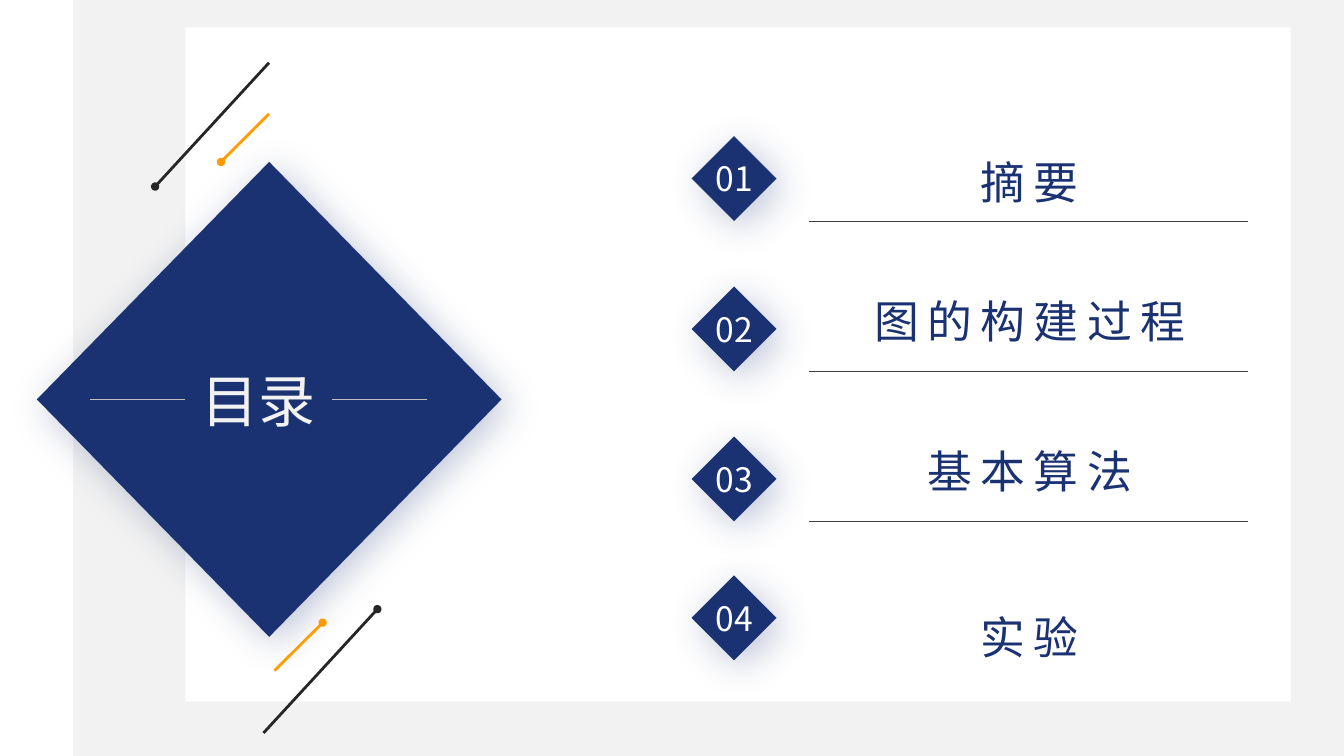
import dataclasses
import typing

import lxml.etree
import pptx
import pptx.dml.color
import pptx.enum.shapes
import pptx.enum.text
import pptx.oxml.ns
import pptx.util

Cm = pptx.util.Cm
Kind = pptx.enum.shapes.MSO_SHAPE
Anchor = pptx.enum.text.MSO_ANCHOR


@dataclasses.dataclass(frozen=True)
class Theme:
    font: str = "Noto Sans CJK SC"
    navy: str = "1A3172"
    white: str = "FFFFFF"
    grey: str = "F2F2F2"
    black: str = "262626"
    orange: str = "FF9C00"
    rule: str = "404040"
    pale: str = "BFBFBF"
    title: float = 40.7
    label: float = 32
    number: float = 24
    thin: float = 0.5
    thick: float = 2


@dataclasses.dataclass(frozen=True)
class Box:
    left: float
    top: float
    width: float
    height: float


@dataclasses.dataclass(frozen=True)
class Entry:
    text: str
    top: float
    shift: float = 0.05
    spacing: float = 1.0
    ruled: bool = True


@dataclasses.dataclass(frozen=True)
class Stroke:
    start: tuple[float, float]
    end: tuple[float, float]
    color: str
    width: float
    dot: bool = False


THEME = Theme()
SLIDE = Box(0, 0, 33.87, 19.05)
PANELS = [
    (Box(0, 0, 1.85, 19.05), THEME.white),
    (Box(1.85, 0, 32.02, 19.05), THEME.grey),
    (Box(4.67, 0.69, 27.86, 16.99), THEME.white),
]
ENTRIES = [
    Entry("摘要", 3.43, shift=-0.33, spacing=1.5),
    Entry("图的构建过程", 7.22),
    Entry("基本算法", 11.0),
    Entry("实验", 14.5, spacing=1.5, ruled=False),
]
MARK = 2.14
HUB = Box(0.93, 4.08, 11.71, 11.97)
MIDDLE = HUB.top + HUB.height / 2
WINGS = [
    Stroke((start, MIDDLE), (end, MIDDLE), THEME.pale, THEME.thin)
    for start, end in [(4.67, 2.26), (8.36, 10.77)]
]
STROKES = [
    Stroke((6.78, 1.58), (3.91, 4.7), THEME.black, THEME.thick, dot=True),
    Stroke((6.78, 2.87), (5.57, 4.08), THEME.orange, THEME.thick, dot=True),
    Stroke((6.64, 18.47), (9.51, 15.35), THEME.black, THEME.thick, dot=True),
    Stroke((6.92, 16.9), (8.13, 15.69), THEME.orange, THEME.thick, dot=True),
]


def add_child(parent: typing.Any, tag: str, **attrs: str) -> typing.Any:
    return lxml.etree.SubElement(parent, pptx.oxml.ns.qn(tag), attrs)


def paint(fill: typing.Any, color: str) -> None:
    fill.solid()
    fill.fore_color.rgb = pptx.dml.color.RGBColor.from_string(color)


def place(box: Box) -> list[int]:
    return [Cm(side) for side in dataclasses.astuple(box)]


def draw_shape(shapes: typing.Any, kind: Kind, box: Box, color: str) -> typing.Any:
    shape = shapes.add_shape(kind, *place(box))
    paint(shape.fill, color)
    shape.line.fill.background()
    shape.shadow.inherit = False
    return shape


def draw_diamond(shapes: typing.Any, box: Box) -> typing.Any:
    """Draw a navy diamond with a soft shadow to the lower right."""
    shape = draw_shape(shapes, Kind.DIAMOND, box, THEME.navy)
    effects = shape.element.spPr.find(pptx.oxml.ns.qn("a:effectLst"))
    shadow = add_child(
        effects, "a:outerShdw", algn="tl", rotWithShape="0", dir="2700000",
        blurRad=str(pptx.util.Pt(28)), dist=str(pptx.util.Pt(7)),
    )
    color = add_child(shadow, "a:srgbClr", val=THEME.navy)
    add_child(color, "a:alpha", val="27000")
    return shape


def draw_stroke(shapes: typing.Any, stroke: Stroke) -> None:
    line = shapes.add_connector(
        pptx.enum.shapes.MSO_CONNECTOR.STRAIGHT,
        *[Cm(value) for value in stroke.start + stroke.end],
    )
    paint(line.line.fill, stroke.color)
    line.line.width = pptx.util.Pt(stroke.width)
    if stroke.dot:
        add_child(line.line._get_or_add_ln(), "a:tailEnd", type="oval")
    add_child(line.element.spPr, "a:effectLst")


def write(shape: typing.Any, text: str, size: float, color: str,
          anchor: Anchor = Anchor.MIDDLE, spacing: float = 1.0, gap: int = 0) -> None:
    """Set centred text; gap is the letter spacing in points."""
    frame = shape.text_frame
    frame.text = text
    frame.word_wrap = False
    frame.vertical_anchor = anchor
    line = frame.paragraphs[0]
    line.alignment = pptx.enum.text.PP_ALIGN.CENTER
    line.line_spacing = spacing
    font = line.runs[0].font
    font.size = pptx.util.Pt(size)
    font.name = THEME.font
    paint(font.fill, color)
    props = line.runs[0]._r.get_or_add_rPr()
    add_child(props, "a:ea", typeface=THEME.font)
    if gap:
        props.set("spc", str(gap * 100))


def draw_entry(slide: typing.Any, number: int, entry: Entry) -> None:
    shapes = slide.shapes.add_group_shape().shapes
    mark = draw_diamond(shapes, Box(17.43, entry.top, MARK, MARK))
    write(mark, f"{number:02}", THEME.number, THEME.white)
    label = shapes.add_textbox(*place(Box(20.22, entry.top + entry.shift, 11.46, 2.08)))
    write(label, entry.text, THEME.label, THEME.navy, Anchor.TOP, entry.spacing, gap=6)
    if entry.ruled:
        base = entry.top + MARK
        draw_stroke(shapes, Stroke((20.4, base), (31.45, base), THEME.rule, THEME.thin))


def draw_hub(slide: typing.Any) -> None:
    shapes = slide.shapes.add_group_shape().shapes
    draw_diamond(shapes, HUB)
    title = shapes.add_textbox(*place(Box(4.67, 9.17, 3.7, 1.8)))
    write(title, "目录", THEME.title, THEME.grey)
    for wing in WINGS:
        draw_stroke(shapes, wing)


def main() -> None:
    deck = pptx.Presentation()
    deck.slide_width, deck.slide_height = Cm(SLIDE.width), Cm(SLIDE.height)
    slide = deck.slides.add_slide(deck.slide_layouts[6])
    paint(slide.background.fill, THEME.grey)
    for box, color in PANELS:
        draw_shape(slide.shapes, Kind.RECTANGLE, box, color)
    for number, entry in enumerate(ENTRIES, 1):
        draw_entry(slide, number, entry)
    draw_hub(slide)
    for stroke in STROKES:
        draw_stroke(slide.shapes, stroke)
    deck.save("out.pptx")


if __name__ == "__main__":
    main()
